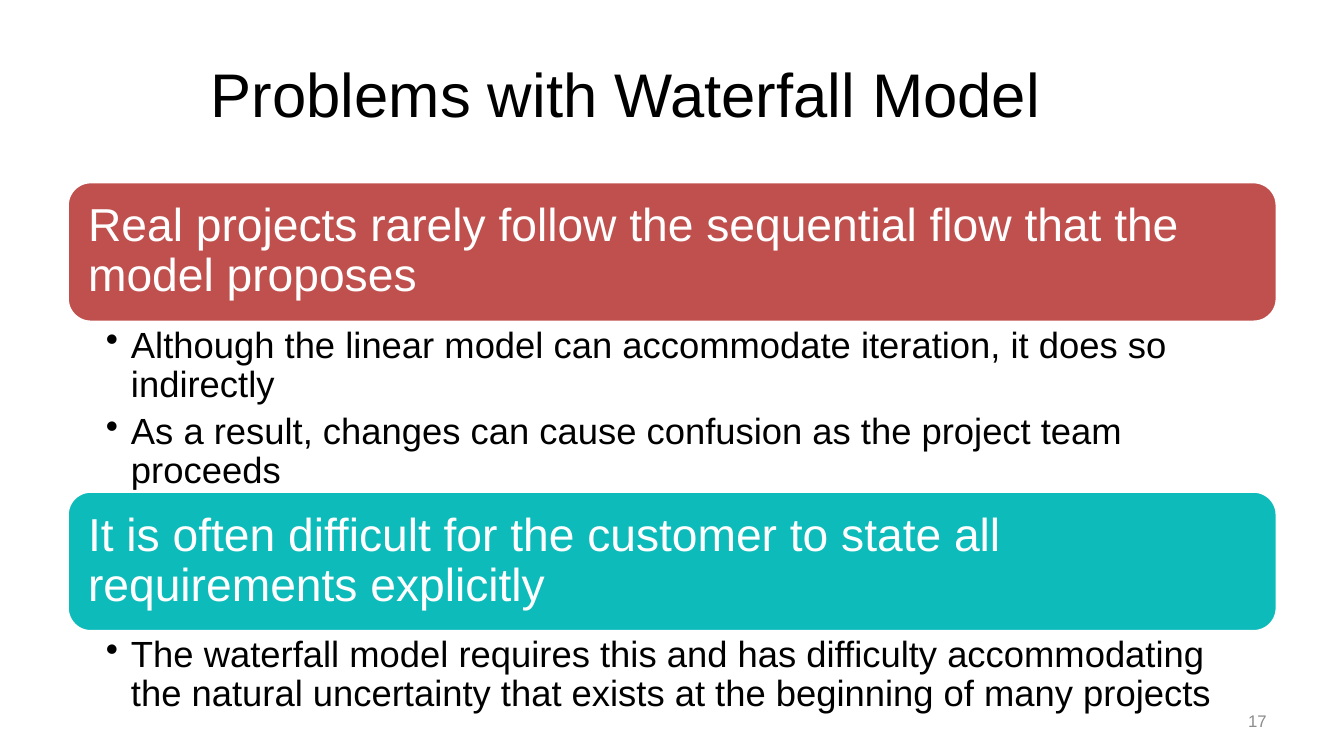
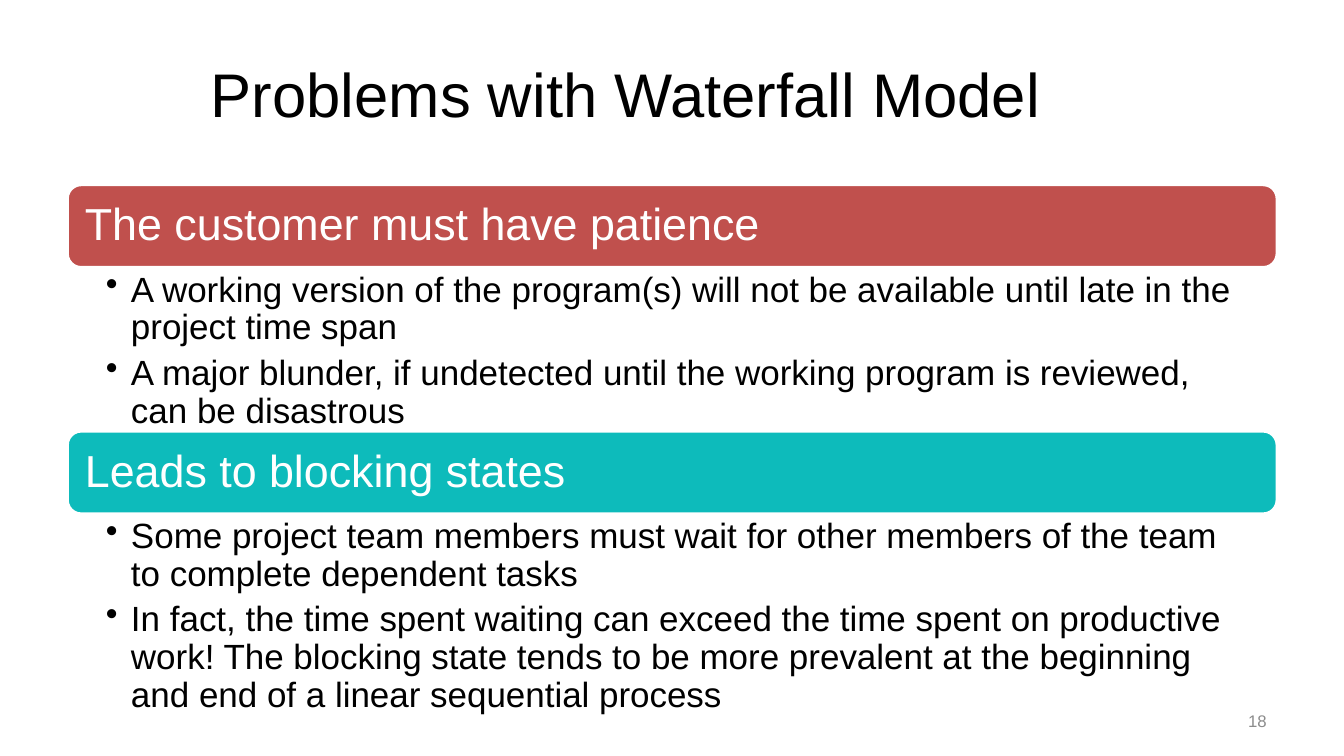
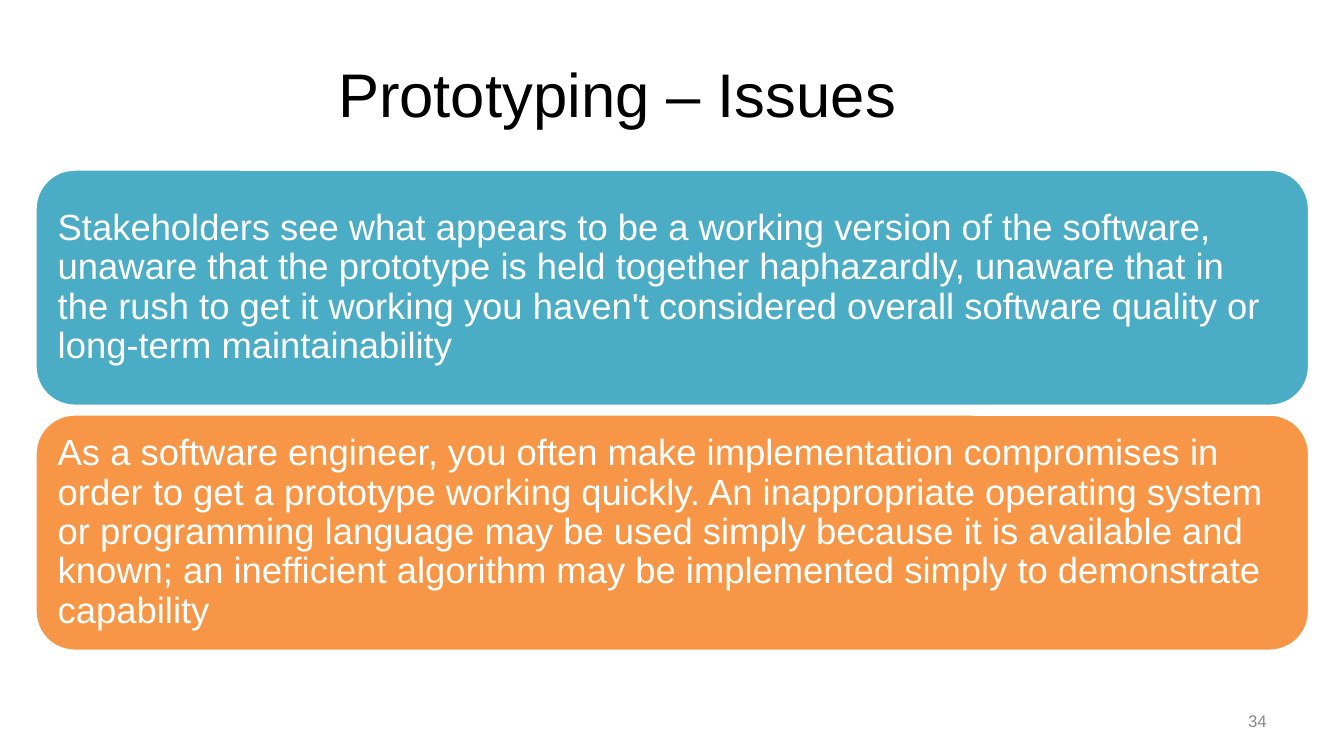
from dataclasses import dataclass

from pptx import Presentation
from pptx.dml.color import RGBColor as Color
from pptx.enum.shapes import MSO_SHAPE as Preset
from pptx.enum.text import MSO_ANCHOR as Anchor, PP_ALIGN as Align
from pptx.oxml.xmlchemy import OxmlElement as Element
from pptx.util import Pt


@dataclass(frozen=True)
class Theme:
    font: str = "Arial"
    text: str = "000000"
    inverse: str = "FFFFFF"
    muted: str = "8C8C8C"
    red: str = "C0504D"
    teal: str = "0DBBBB"
    blue: str = "4BACC6"
    orange: str = "F79646"
    title_size: int = 44
    number_size: int = 12
    line_spacing: float = 0.9


THEME = Theme()
BLANK_LAYOUT = 6
LEFT, WIDTH = 48.2, 864
INDENT = 18


def apply(target, **values):
    for name, value in values.items():
        setattr(target, name, value)


def set_margins(frame, left, top, right, bottom):
    apply(frame, margin_left=Pt(left), margin_top=Pt(top),
          margin_right=Pt(right), margin_bottom=Pt(bottom))


def write(para, text, size, color, **layout):
    apply(para, **layout)
    span = para.add_run()
    span.text = text
    apply(span.font, name=THEME.font, size=Pt(size))
    span.font.color.rgb = Color.from_string(color)


def add_text_box(page, area, anchor):
    frame = page.shapes.add_textbox(*map(Pt, area)).text_frame
    apply(frame, word_wrap=True, vertical_anchor=anchor)
    return frame


def add_page(deck, title, number):
    page = deck.slides.add_slide(deck.slide_layouts[BLANK_LAYOUT])
    heading = add_text_box(page, (LEFT, 21.6, 798, 90), Anchor.MIDDLE)
    write(heading.paragraphs[0], title, THEME.title_size, THEME.text,
          alignment=Align.CENTER)
    footer = add_text_box(page, (688, 500.4, 224, 28.8), Anchor.MIDDLE)
    write(footer.paragraphs[0], str(number), THEME.number_size, THEME.muted,
          alignment=Align.RIGHT)
    return page


def add_card(page, area, text, size, fill):
    box = page.shapes.add_shape(Preset.ROUNDED_RECTANGLE, *map(Pt, area))
    box.shadow.inherit = False
    box.fill.solid()
    box.fill.fore_color.rgb = Color.from_string(fill)
    box.line.color.rgb = Color.from_string(THEME.inverse)
    box.line.width = Pt(2)
    frame = box.text_frame
    apply(frame, word_wrap=True, vertical_anchor=Anchor.MIDDLE)
    set_margins(frame, *[round(size * 0.3, 2)] * 4)
    write(frame.paragraphs[0], text, size, THEME.inverse,
          alignment=Align.LEFT, line_spacing=THEME.line_spacing)


def add_bullet(para):
    props = para._p.get_or_add_pPr()
    props.set("marL", str(Pt(INDENT)))
    props.set("indent", str(Pt(-INDENT)))
    bullet = Element("a:buChar")
    bullet.set("char", "•")
    props.append(bullet)


def add_bullets(page, area, items, size):
    frame = add_text_box(page, area, Anchor.TOP)
    edge = round(size * 0.127, 2)
    set_margins(frame, 27.4, edge, round(size * 0.71, 2), edge)
    for index, item in enumerate(items):
        para = frame.add_paragraph() if index else frame.paragraphs[0]
        add_bullet(para)
        write(para, item, size, THEME.text, line_spacing=THEME.line_spacing,
              space_after=Pt(round(size * 0.22, 1)))


def add_sections(page, top, card_height, card_size, bullet_size, sections):
    for fill, heading, height, items in sections:
        add_card(page, (LEFT, top, WIDTH, card_height), heading, card_size, fill)
        top += card_height
        add_bullets(page, (LEFT, top, WIDTH, height), items, bullet_size)
        top += height


def add_issues(page, issues):
    top, height, gap = 121, 169, 6
    for fill, text in issues:
        add_card(page, (25.2, top, 910, height), text, 26, fill)
        top += height + gap


def main():
    deck = Presentation()
    apply(deck, slide_width=Pt(960), slide_height=Pt(540))

    page = add_page(deck, "Problems with Waterfall Model", 17)
    add_sections(page, 130, 100, 33, 26, [
        (THEME.red,
         "Real projects rarely follow the sequential flow that the model proposes",
         121,
         ["Although the linear model can accommodate iteration, it does so indirectly",
          "As a result, changes can cause confusion as the project team proceeds"]),
        (THEME.teal,
         "It is often difficult for the customer to state all requirements explicitly",
         60,
         ["The waterfall model requires this and has difficulty accommodating the "
          "natural uncertainty that exists at the beginning of many projects"]),
    ])

    page = add_page(deck, "Problems with Waterfall Model", 18)
    add_sections(page, 132, 59, 32, 25, [
        (THEME.red, "The customer must have patience", 117,
         ["A working version of the program(s) will not be available until late in "
          "the project time span",
          "A major blunder, if undetected until the working program is reviewed, "
          "can be disastrous"]),
        (THEME.teal, "Leads to blocking states", 143,
         ["Some project team members must wait for other members of the team to "
          "complete dependent tasks",
          "In fact, the time spent waiting can exceed the time spent on productive "
          "work! The blocking state tends to be more prevalent at the beginning "
          "and end of a linear sequential process"]),
    ])

    page = add_page(deck, "Prototyping – Issues ", 34)
    add_issues(page, [
        (THEME.blue,
         "Stakeholders see what appears to be a working version of the software, "
         "unaware that the prototype is held together haphazardly, unaware that in "
         "the rush to get it working you haven't considered overall software "
         "quality or long-term maintainability"),
        (THEME.orange,
         "As a software engineer, you often make implementation compromises in "
         "order to get a prototype working quickly. An inappropriate operating "
         "system or programming language may be used simply because it is "
         "available and known; an inefficient algorithm may be implemented simply "
         "to demonstrate capability"),
    ])

    deck.save("out.pptx")


if __name__ == "__main__":
    main()
